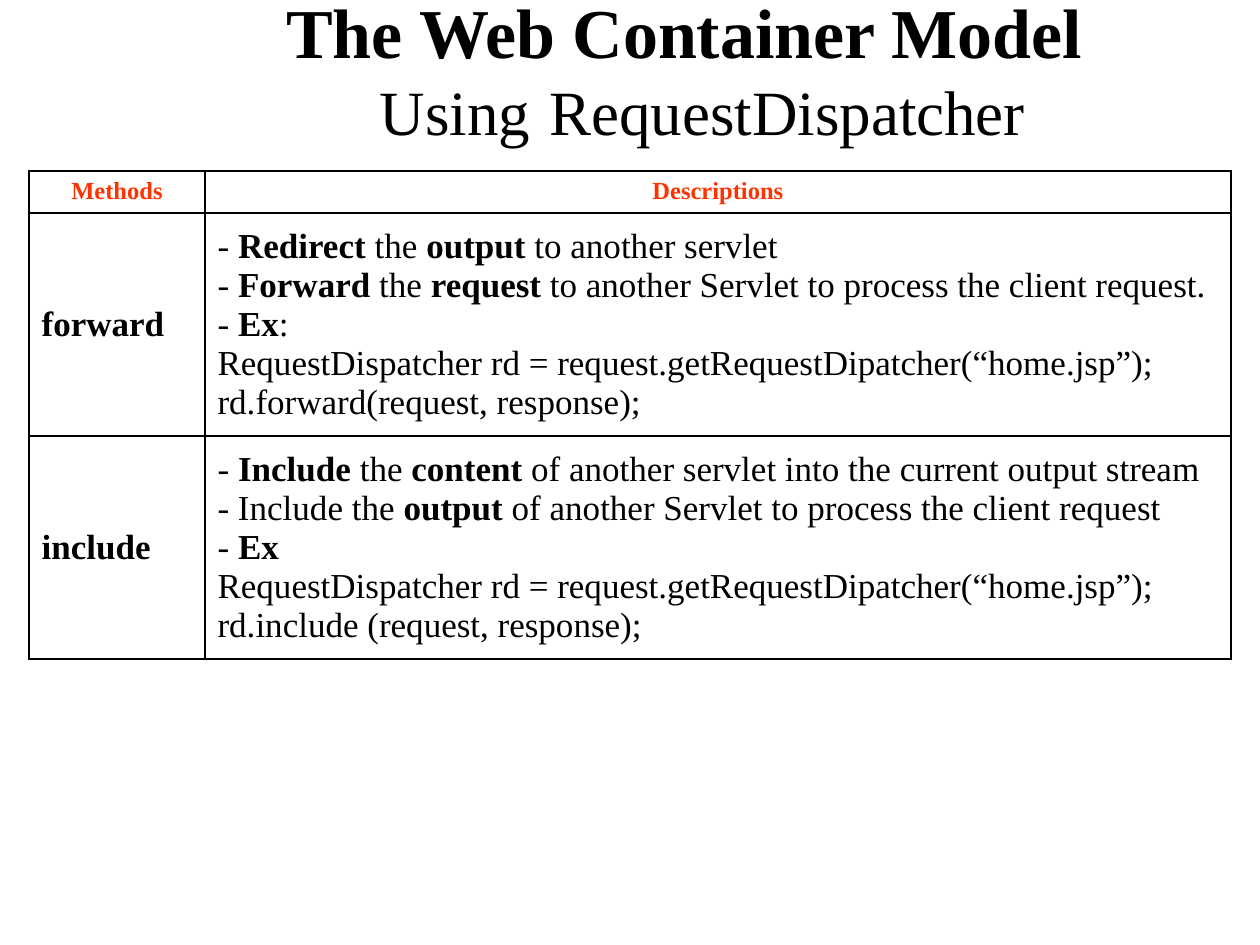
from dataclasses import dataclass

from lxml import etree
from pptx import Presentation
from pptx import util as u
from pptx.dml.color import RGBColor
from pptx.enum import text
from pptx.oxml.ns import qn

SCALE = 914400 / 126


def px(n):
    return u.Emu(round(n * SCALE))


@dataclass(frozen=True)
class Theme:
    font: str = "Times New Roman"
    ink: str = "000000"
    red: str = "FF3300"
    title: int = 40
    sub: int = 36
    gap: int = 44
    head: int = 14
    body: int = 20
    rule: int = 1
    indent: int = 48


def write(par, words, *, font, size, color, bold=False):
    """Add words to a paragraph; each ** switches bold on or off."""
    for n, part in enumerate(words.split("**")):
        if not part:
            continue
        run = par.add_run()
        run.text = part
        run.font.name = font
        run.font.size = u.Pt(size)
        run.font.bold = bold != bool(n % 2)
        run.font.color.rgb = RGBColor.from_string(color)


class Deck:
    def __init__(self, theme):
        self.theme = theme
        self.file = Presentation()
        self.file.slide_width, self.file.slide_height = px(1260), px(945)
        self.slide = self.file.slides.add_slide(self.file.slide_layouts[6])

    def title(self, top, parts, x, y, w, h):
        """Draw a bold line above a line of (words, size, bold) parts."""
        look = self.theme
        frame = self.slide.shapes.add_textbox(px(x), px(y), px(w), px(h)).text_frame
        frame.word_wrap = True
        frame.vertical_anchor = text.MSO_ANCHOR.MIDDLE
        par = frame.paragraphs[0]
        par.alignment = text.PP_ALIGN.CENTER
        par.line_spacing = 0.85
        base = dict(font=look.font, color=look.ink)
        write(par, top, size=look.title, bold=True, **base)
        par.add_line_break()
        for words, size, bold in parts:
            write(par, words, size=size, bold=bold, **base)

    def border(self, cell):
        props = cell._tc.get_or_add_tcPr()
        for side in ("lnL", "lnR", "lnT", "lnB"):
            line = etree.SubElement(props, qn(f"a:{side}"), w=str(u.Pt(self.theme.rule)))
            fill = etree.SubElement(line, qn("a:solidFill"))
            etree.SubElement(fill, qn("a:srgbClr"), val=self.theme.ink)

    def cell(self, cell, lines, head):
        look = self.theme
        self.border(cell)
        cell.fill.background()
        cell.margin_left = cell.margin_right = u.Inches(0.1)
        cell.margin_top = cell.margin_bottom = u.Inches(0.05)
        cell.vertical_anchor = text.MSO_ANCHOR.TOP if head else text.MSO_ANCHOR.MIDDLE
        for n, words in enumerate(lines):
            frame = cell.text_frame
            par = frame.add_paragraph() if n else frame.paragraphs[0]
            par.alignment = text.PP_ALIGN.CENTER if head else text.PP_ALIGN.LEFT
            props = par._p.get_or_add_pPr()
            props.set("marL", str(px(look.indent)))
            props.set("indent", str(px(-look.indent)))
            write(par, words, font=look.font, bold=head,
                  size=look.head if head else look.body,
                  color=look.red if head else look.ink)

    def table(self, rows, x, y, cols, highs):
        grid = self.slide.shapes.add_table(
            len(rows), len(cols), px(x), px(y), px(sum(cols)), px(sum(highs))).table
        grid.first_row = grid.horz_banding = False
        for col, wide in zip(grid.columns, cols):
            col.width = px(wide)
        for r, (row, high) in enumerate(zip(rows, highs)):
            grid.rows[r].height = px(high)
            for c, lines in enumerate(row):
                self.cell(grid.cell(r, c), lines, head=r == 0)


GET = "RequestDispatcher rd = request.getRequestDipatcher(“home.jsp”);"
ROWS = [
    (["Methods"], ["Descriptions"]),
    (["**forward**"], [
        "- **Redirect** the **output** to another servlet",
        "- **Forward** the **request** to another Servlet to process the client request.",
        "- **Ex**:",
        GET,
        "rd.forward(request, response);",
    ]),
    (["**include**"], [
        "- **Include** the **content** of another servlet into the current output stream",
        "- Include the **output** of another Servlet to process the client request",
        "- **Ex**",
        GET,
        "rd.include (request, response);",
    ]),
]


def main():
    look = Theme()
    deck = Deck(look)
    space = (" ", look.gap, True)
    deck.title("The Web Container Model ",
               [space, ("Using", look.sub, False),
                space, ("RequestDispatcher", look.sub, False)],
               126, 0, 1134, 152)
    deck.table(ROWS, 29, 171, cols=(176, 1026), highs=(42, 223, 223))
    deck.file.save("out.pptx")


if __name__ == "__main__":
    main()
